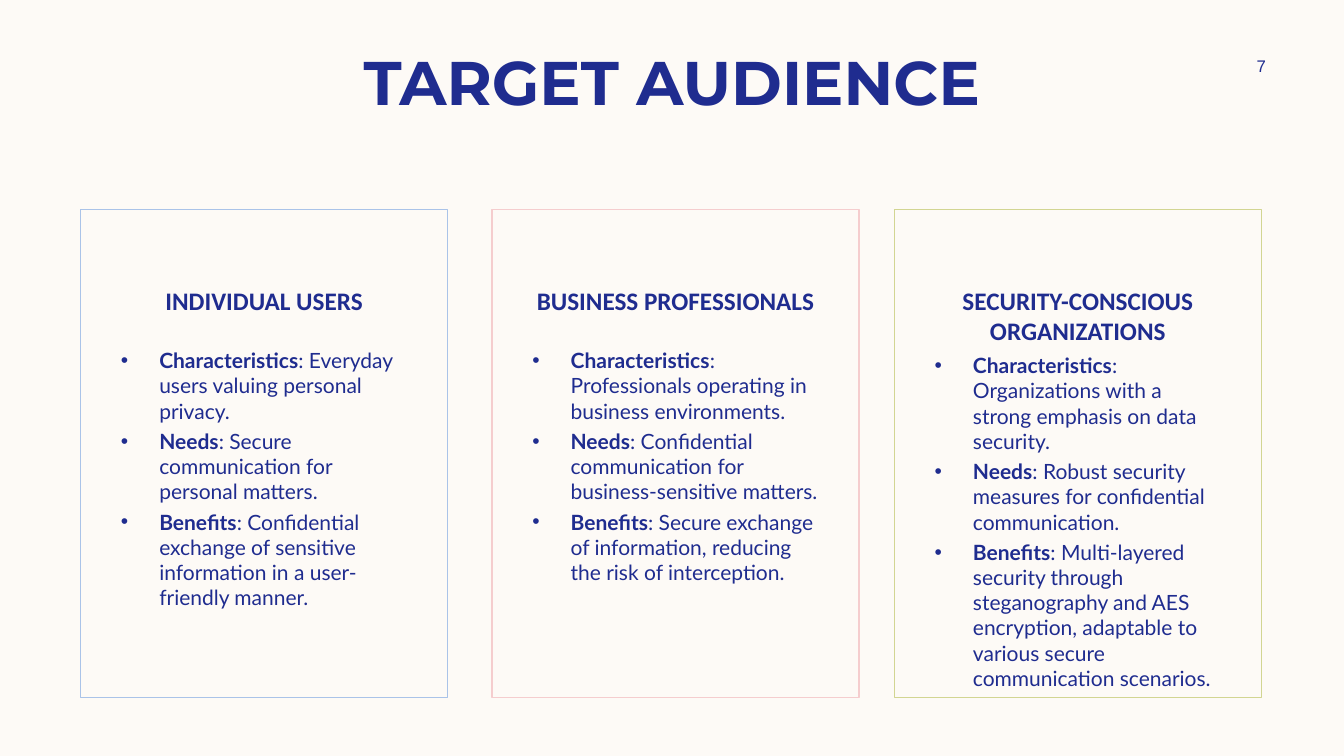
from dataclasses import dataclass

from lxml.etree import SubElement
from pptx import Presentation
from pptx.dml.color import RGBColor
from pptx.enum.shapes import MSO_SHAPE
from pptx.enum.text import MSO_ANCHOR, MSO_AUTO_SIZE, PP_ALIGN
from pptx.oxml.ns import qn
from pptx.util import Pt

SCALE = 9144  # EMU per px, 100 px to the inch
NAVY = RGBColor(0x1F, 0x2C, 0x8F)
CREAM = RGBColor(0xFD, 0xFA, 0xF6)
BLUE = RGBColor(0xAA, 0xC3, 0xE8)
PINK = RGBColor(0xF5, 0xCD, 0xCE)
OLIVE = RGBColor(0xD2, 0xD5, 0x92)

TITLE_FONT = {"name": "Montserrat", "size": Pt(44), "bold": True}
NUMBER_FONT = {"name": "Arial", "size": Pt(12), "bold": False}
HEADING_FONT = {"name": "Calibri", "size": Pt(18), "bold": True}
LABEL_FONT = {"name": "Lato", "size": Pt(15), "bold": True}
DETAIL_FONT = LABEL_FONT | {"bold": False}

CARD_TOP, CARD_WIDTH, CARD_HEIGHT = 208, 364, 484
LIST_INSET, LIST_WIDTH, BULLET_INDENT = 30, 303, 38
LABELS = ("Characteristics", "Needs", "Benefits")


@dataclass
class Audience:
    heading: str
    color: RGBColor
    left: int
    list_top: int
    list_height: int
    details: tuple[str, str, str]


AUDIENCES = [
    Audience("INDIVIDUAL USERS", BLUE, 80, 340, 241, (
        "Everyday users valuing personal privacy.",
        "Secure communication for personal matters.",
        "Confidential exchange of sensitive information in a user-friendly manner.")),
    Audience("BUSINESS PROFESSIONALS", PINK, 488, 340, 241, (
        "Professionals operating in business environments.",
        "Confidential communication for business-sensitive matters.",
        "Secure exchange of information, reducing the risk of interception.")),
    Audience("SECURITY-CONSCIOUS ORGANIZATIONS", OLIVE, 887, 345, 318, (
        "Organizations with a strong emphasis on data security.",
        "Robust security measures for confidential communication.",
        "Multi-layered security through steganography and AES encryption, "
        "adaptable to various secure communication scenarios.")),
]


def px(length: int) -> int:
    return length * SCALE


def set_all(target, values: dict) -> None:
    for name, value in values.items():
        setattr(target, name, value)


def place(shape, left: int, top: int, width: int, height: int) -> None:
    set_all(shape, {"left": px(left), "top": px(top),
                    "width": px(width), "height": px(height)})


def format_frame(frame, anchor: MSO_ANCHOR, margin_top: int = 5) -> None:
    set_all(frame, {
        "word_wrap": True, "auto_size": MSO_AUTO_SIZE.NONE, "vertical_anchor": anchor,
        "margin_left": px(10), "margin_right": px(10),
        "margin_top": px(margin_top), "margin_bottom": px(5)})


def add_span(para, text: str, font: dict) -> None:
    span = para.add_run()
    span.text = text
    set_all(span.font, font)
    span.font.color.rgb = NAVY


def write_centered(frame, text: str, font: dict) -> None:
    para = frame.paragraphs[0]
    set_all(para, {"alignment": PP_ALIGN.CENTER, "space_before": Pt(0)})
    add_span(para, text, font)


def add_card(page, audience: Audience) -> None:
    card = page.shapes.add_shape(
        MSO_SHAPE.RECTANGLE, px(audience.left), px(CARD_TOP),
        px(CARD_WIDTH), px(CARD_HEIGHT))
    card.shadow.inherit = False
    card.fill.background()
    card.line.color.rgb = audience.color
    card.line.width = Pt(1)
    format_frame(card.text_frame, MSO_ANCHOR.TOP, margin_top=75)
    write_centered(card.text_frame, audience.heading, HEADING_FONT)


def add_bullet(para) -> None:
    properties = para._p.get_or_add_pPr()
    properties.set("marL", str(px(BULLET_INDENT)))
    properties.set("indent", str(-px(BULLET_INDENT)))
    SubElement(properties, qn("a:buFont"), typeface="Arial")
    SubElement(properties, qn("a:buChar"), char="•")


def fill_list(box, audience: Audience) -> None:
    place(box, audience.left + LIST_INSET, audience.list_top,
          LIST_WIDTH, audience.list_height)
    frame = box.text_frame
    format_frame(frame, MSO_ANCHOR.TOP)
    for index, (label, detail) in enumerate(zip(LABELS, audience.details)):
        para = frame.add_paragraph() if index else frame.paragraphs[0]
        set_all(para, {"alignment": PP_ALIGN.LEFT, "space_before": Pt(3.6)})
        add_bullet(para)
        add_span(para, label, LABEL_FONT)
        add_span(para, f": {detail}", DETAIL_FONT)


def main() -> None:
    deck = Presentation()
    set_all(deck, {"slide_width": px(1333), "slide_height": px(750)})
    page = deck.slides.add_slide(deck.slide_layouts.get_by_name("Comparison"))
    page.background.fill.solid()
    page.background.fill.fore_color.rgb = CREAM

    # Title
    title = page.shapes.title
    place(title, 83, 38, 1167, 84)
    format_frame(title.text_frame, MSO_ANCHOR.MIDDLE)
    write_centered(title.text_frame, "TARGET AUDIENCE", TITLE_FONT)

    # Page number
    number = page.shapes.add_textbox(px(1197), px(50), px(108), px(30))
    format_frame(number.text_frame, MSO_ANCHOR.MIDDLE)
    write_centered(number.text_frame, "7", NUMBER_FONT)

    # Audience cards and their lists
    bodies = [box for box in page.placeholders if box.placeholder_format.idx in range(1, 5)]
    for audience, body in zip(AUDIENCES, bodies):
        add_card(page, audience)
        fill_list(body, audience)

    # Spare placeholders of the layout
    for spare in bodies[len(AUDIENCES):]:
        spare.element.getparent().remove(spare.element)

    deck.save("out.pptx")


if __name__ == "__main__":
    main()
